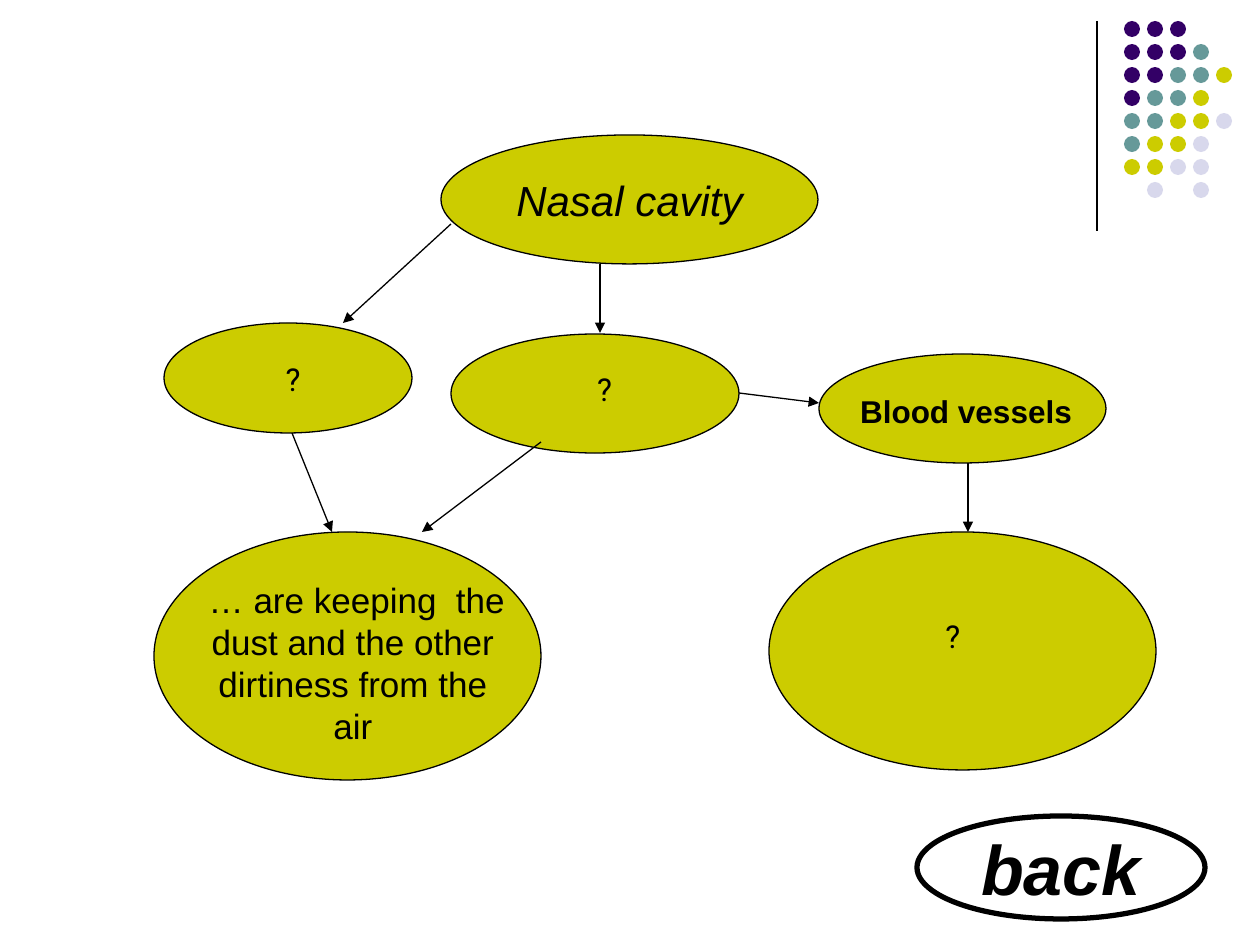
import lxml.etree
import pptx
import pptx.util
import pptx.dml.color
import pptx.enum.shapes
import pptx.enum.text
import pptx.oxml.ns

RGB = pptx.dml.color.RGBColor
BLACK = RGB(0x00, 0x00, 0x00)
PURPLE = RGB(0x33, 0x00, 0x66)
TEAL = RGB(0x66, 0x99, 0x99)
OLIVE = RGB(0xCC, 0xCC, 0x00)
LILAC = RGB(0xD8, 0xD8, 0xEC)

# Content: all lengths in px, 126 to the inch
PX = 914400 / 126

DOT_COLORS = {"P": PURPLE, "T": TEAL, "O": OLIVE, "L": LILAC}
DOT_ROWS = ["PPP", "PPPT", "PPTTO", "PTTO", "TTOOL", "TOOL", "OOLL", ".L.L"]
DOT_LEFT, DOT_TOP, DOT_PITCH, DOT_SIZE = 1124, 21, 23, 16
DIVIDER = (1097, 21, 1097, 231)

# Runs: text, size, font, bold, italic
QUESTION = [("?", 18, "Roboto", False, False)]
TITLE = [("Nasal cavity", 24, "Arial", False, True)]
VESSELS = [("Blood vessels", 18, "Arial", True, False)]
DUST = [
    (" ", 18, "Roboto", False, False),
    ("… are keeping  the dust and the other dirtiness from the air",
     20, "Arial", False, False),
]
BACK = [("back", 40, "Arial", True, True)]

# Ellipse box, label box (None: the label sits in the ellipse), label
NODES = [
    ((441, 135, 377, 129), None, TITLE),
    ((164, 323, 248, 110), (184, 354, 218, 50), QUESTION),
    ((451, 334, 288, 119), (451, 364, 307, 50), QUESTION),
    ((819, 354, 287, 109), (842, 386, 248, 50), VESSELS),
    ((154, 532, 387, 248), (184, 572, 338, 181), DUST),
    ((769, 532, 387, 238), (789, 611, 328, 50), QUESTION),
]
BACK_BOX = (917, 816, 288, 103)

ARROWS = [
    (451, 224, 343, 323),
    (600, 264, 600, 333),
    (292, 433, 332, 532),
    (541, 442, 422, 532),
    (739, 393, 819, 403),
    (968, 463, 968, 532),
]


def emu(lengths):
    return [round(n * PX) for n in lengths]


def add_ellipse(box, fill=None, line_width=None):
    sp = slide.shapes.add_shape(pptx.enum.shapes.MSO_SHAPE.OVAL, *emu(box))
    sp.shadow.inherit = False
    if fill is None:
        sp.fill.background()
    else:
        sp.fill.solid()
        sp.fill.fore_color.rgb = fill
    if line_width is None:
        sp.line.fill.background()
    else:
        sp.line.color.rgb = BLACK
        sp.line.width = pptx.util.Pt(line_width)
    return sp


def add_line(ends, arrow=False):
    qn = pptx.oxml.ns.qn
    cxn = slide.shapes.add_connector(
        pptx.enum.shapes.MSO_CONNECTOR.STRAIGHT, *emu(ends))
    cxn.line.color.rgb = BLACK
    cxn.line.width = pptx.util.Pt(0.75)
    sp_pr = cxn._element.find(qn("p:spPr"))
    if arrow:
        ln = sp_pr.find(qn("a:ln"))
        lxml.etree.SubElement(ln, qn("a:tailEnd"), type="triangle")
    lxml.etree.SubElement(sp_pr, qn("a:effectLst"))


def write(sp, runs, anchor, wrap):
    tf = sp.text_frame
    tf.word_wrap = wrap
    tf.vertical_anchor = anchor
    p = tf.paragraphs[0]
    p.alignment = pptx.enum.text.PP_ALIGN.CENTER
    for text, size, font, bold, italic in runs:
        r = p.add_run()
        r.text = text
        r.font.size = pptx.util.Pt(size)
        r.font.name = font
        r.font.bold = bold
        r.font.italic = italic
        r.font.color.rgb = BLACK


prs = pptx.Presentation()
prs.slide_width = pptx.util.Inches(10)
prs.slide_height = pptx.util.Inches(7.5)
slide = prs.slides.add_slide(prs.slide_layouts[6])
ANCHOR = pptx.enum.text.MSO_ANCHOR

# Corner ornament
add_line(DIVIDER)
for row, codes in enumerate(DOT_ROWS):
    for col, code in enumerate(codes):
        if code in DOT_COLORS:
            add_ellipse((DOT_LEFT + col * DOT_PITCH, DOT_TOP + row * DOT_PITCH,
                         DOT_SIZE, DOT_SIZE), DOT_COLORS[code])

# Concept map
for box, label_box, label in NODES:
    sp = add_ellipse(box, OLIVE, 0.75)
    if label_box is None:
        write(sp, label, ANCHOR.MIDDLE, False)
    else:
        write(slide.shapes.add_textbox(*emu(label_box)), label, ANCHOR.TOP, True)
for ends in ARROWS:
    add_line(ends, arrow=True)

# Back button
write(add_ellipse(BACK_BOX, line_width=3), BACK, ANCHOR.MIDDLE, False)

prs.save("out.pptx")
